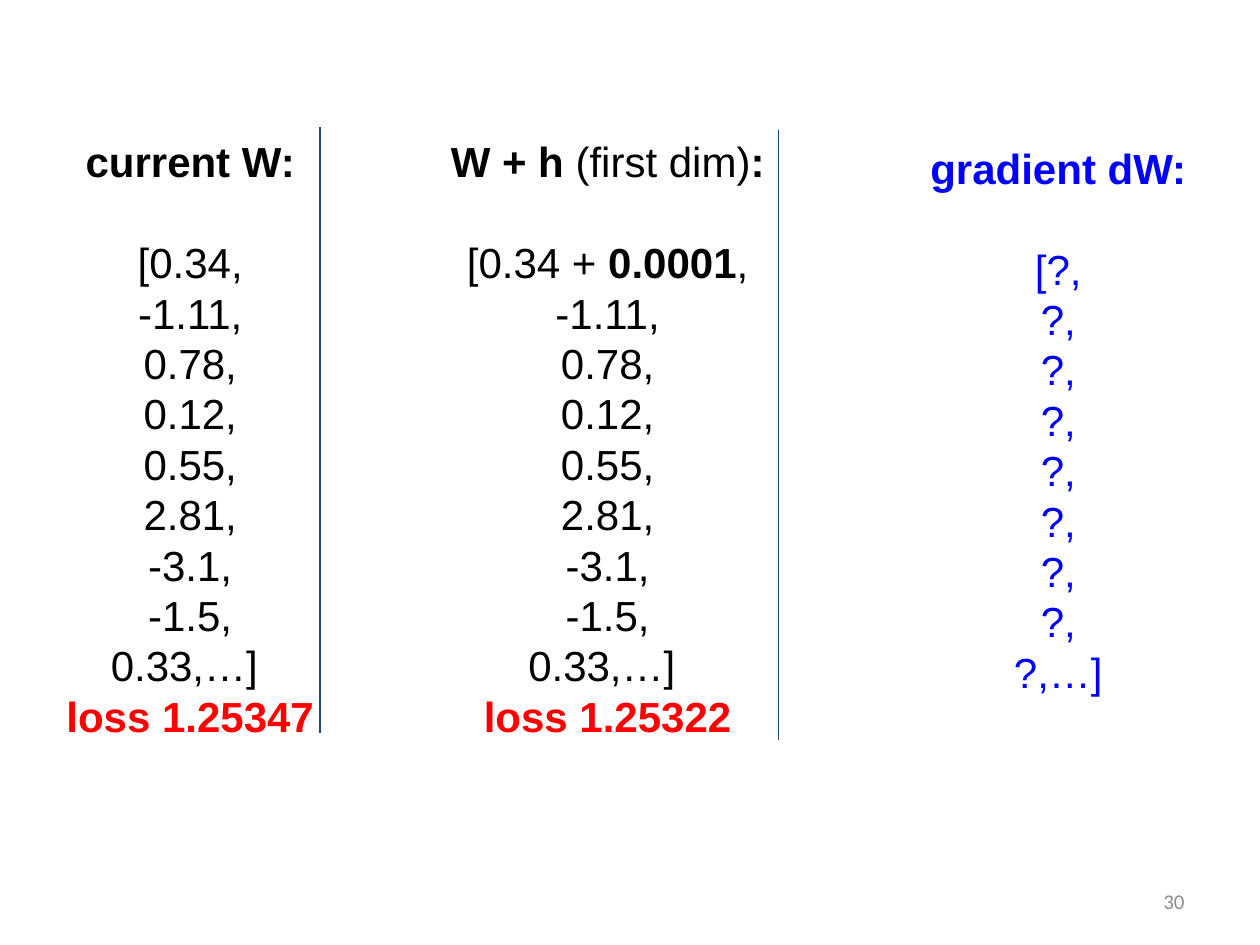
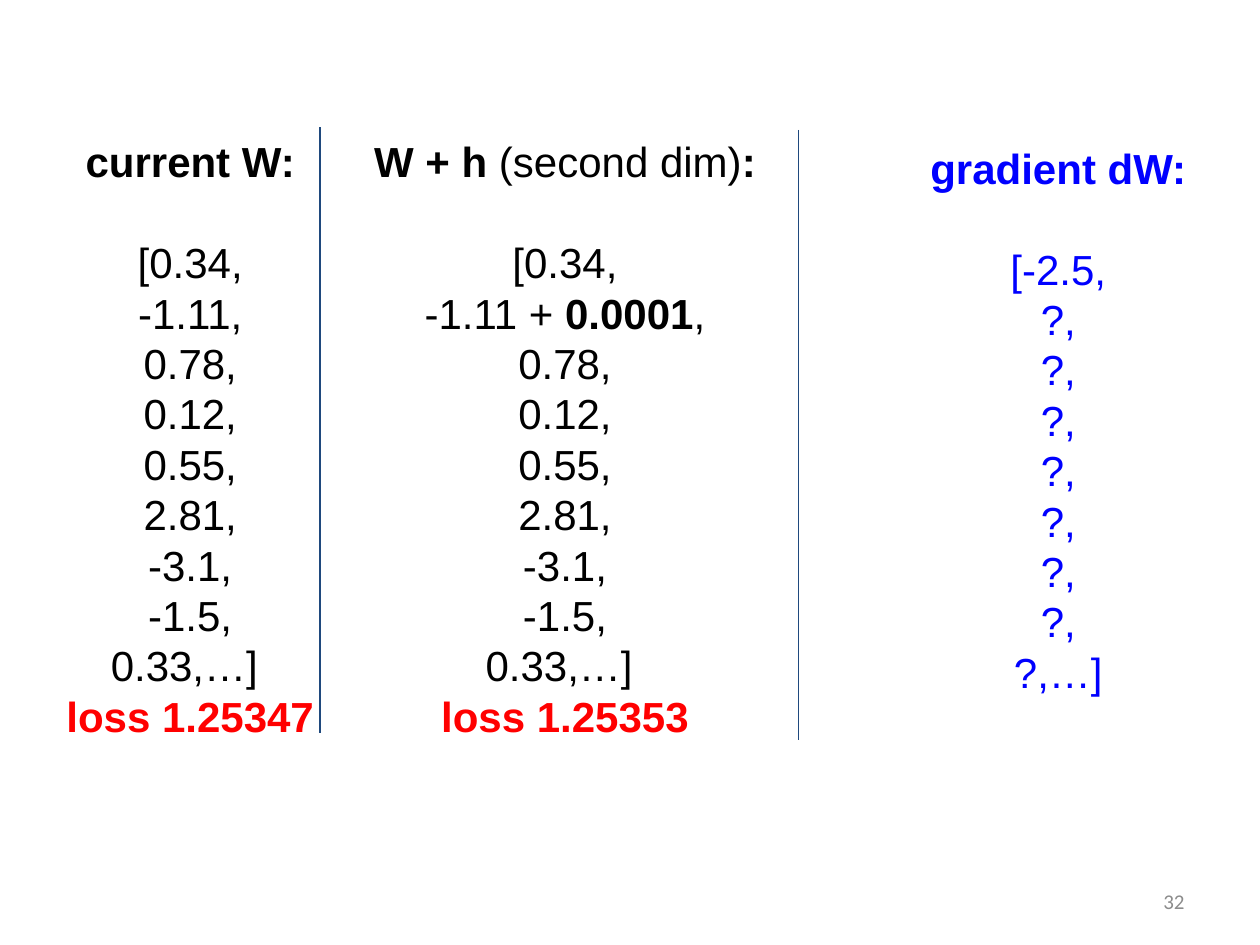
from dataclasses import dataclass

from lxml.etree import SubElement
from pptx import Presentation
from pptx.dml.color import RGBColor
from pptx.enum.shapes import MSO_CONNECTOR
from pptx.enum.text import MSO_ANCHOR, PP_ALIGN
from pptx.oxml.ns import qn
from pptx.slide import Slide
from pptx.text.text import _Paragraph as Paragraph
from pptx.util import Cm, Pt


@dataclass(frozen=True)
class Theme:
    body_font: str = "Arial"
    number_font: str = "Calibri"
    body_size: Pt = Pt(24)
    number_size: Pt = Pt(12)
    line_pitch: Pt = Pt(28.8)
    text: RGBColor = RGBColor(0x00, 0x00, 0x00)
    loss: RGBColor = RGBColor(0xFF, 0x00, 0x00)
    gradient: RGBColor = RGBColor(0x00, 0x00, 0xFF)
    divider: RGBColor = RGBColor(0x1F, 0x49, 0x7D)
    number: RGBColor = RGBColor(0x8C, 0x8C, 0x8C)


THEME = Theme()


@dataclass(frozen=True)
class Column:
    """A heading over a vector, with an optional loss; sizes in centimetres."""
    left: float
    top: float
    width: float
    heading: str
    values: list[str]
    color: RGBColor = THEME.text
    loss: str = ""


@dataclass(frozen=True)
class Divider:
    x: float
    top: float
    bottom: float


@dataclass(frozen=True)
class GradientStep:
    """One slide: which dimension of W is nudged by h, and what is known so far."""
    number: int
    dimension: int
    dimension_name: str
    loss: str
    known_gradient: list[str]
    nudged_left: float
    divider_x: float


WEIGHTS = ["0.34", "-1.11", "0.78", "0.12", "0.55", "2.81", "-3.1", "-1.5", "0.33"]
CURRENT_LOSS = "1.25347"
STEPS = [
    GradientStep(30, 0, "first", "1.25322", [], 7.54, 15.7),
    GradientStep(32, 1, "second", "1.25353", ["-2.5"], 6.68, 16.1),
]


def vector_lines(values: list[str], ending: str) -> list[str]:
    lines = [f"{value}," for value in values]
    lines[0] = "[" + lines[0]
    lines[-1] += ending
    return lines


def add_runs(paragraph: Paragraph, text: str, *, font: str, size: Pt,
             color: RGBColor, alignment: PP_ALIGN) -> None:
    """Write text into the paragraph; parts between ** marks become bold."""
    paragraph.alignment = alignment
    for index, part in enumerate(text.split("**")):
        if part:
            run = paragraph.add_run()
            run.text = part
            run.font.name = font
            run.font.size = size
            run.font.bold = index % 2 == 1
            run.font.color.rgb = color


def add_text_frame(slide: Slide, left: float, top: float, width: float, height: float):
    frame = slide.shapes.add_textbox(Cm(left), Cm(top), Cm(width), Cm(height)).text_frame
    frame.word_wrap = True
    frame.margin_left = frame.margin_right = Cm(0.25)
    frame.margin_top = frame.margin_bottom = Cm(0.25)
    return frame


def add_column(slide: Slide, column: Column) -> None:
    frame = add_text_frame(slide, column.left, column.top, column.width, 1.09)
    lines = [(column.heading, column.color)]
    lines += [(value, column.color) for value in column.values]
    if column.loss:
        lines.append((f"**loss {column.loss}**", THEME.loss))
    for index, (text, color) in enumerate(lines):
        paragraph = frame.add_paragraph() if index else frame.paragraphs[0]
        paragraph.line_spacing = THEME.line_pitch
        add_runs(paragraph, text, font=THEME.body_font, size=THEME.body_size,
                 color=color, alignment=PP_ALIGN.CENTER)
    frame.paragraphs[0].space_after = THEME.line_pitch


def add_divider(slide: Slide, divider: Divider) -> None:
    line = slide.shapes.add_connector(
        MSO_CONNECTOR.STRAIGHT, Cm(divider.x), Cm(divider.top),
        Cm(divider.x), Cm(divider.bottom))
    line.line.color.rgb = THEME.divider
    line.line.width = Pt(0.75)
    SubElement(line._element.spPr, qn("a:effectLst"))


def add_slide_number(slide: Slide, number: int) -> None:
    frame = add_text_frame(slide, 18.21, 17.65, 5.92, 1.02)
    frame.vertical_anchor = MSO_ANCHOR.MIDDLE
    add_runs(frame.paragraphs[0], str(number), font=THEME.number_font,
             size=THEME.number_size, color=THEME.number, alignment=PP_ALIGN.RIGHT)


def add_step_slide(presentation: Presentation, step: GradientStep) -> None:
    slide = presentation.slides.add_slide(presentation.slide_layouts[6])
    nudged = list(WEIGHTS)
    nudged[step.dimension] += " + **0.0001**"
    unknown = ["?"] * (len(WEIGHTS) - len(step.known_gradient))

    add_slide_number(slide, step.number)
    columns = [
        Column(0.56, 2.49, 6.55, "**current W:**",
               vector_lines(WEIGHTS, "…] "), loss=CURRENT_LOSS),
        Column(step.nudged_left, 2.49, 9.42, f"**W + h **({step.dimension_name} dim)**:**",
               vector_lines(nudged, "…] "), loss=step.loss),
        Column(18.06, 2.62, 6.55, "**gradient dW:**",
               vector_lines(step.known_gradient + unknown, "…]"), color=THEME.gradient),
    ]
    for column in columns:
        add_column(slide, column)
    for divider in (Divider(6.45, 2.57, 14.78), Divider(step.divider_x, 2.62, 14.91)):
        add_divider(slide, divider)


def main() -> None:
    presentation = Presentation()
    presentation.slide_width = Cm(25.4)
    presentation.slide_height = Cm(19.05)
    for step in STEPS:
        add_step_slide(presentation, step)
    presentation.save("out.pptx")


if __name__ == "__main__":
    main()
